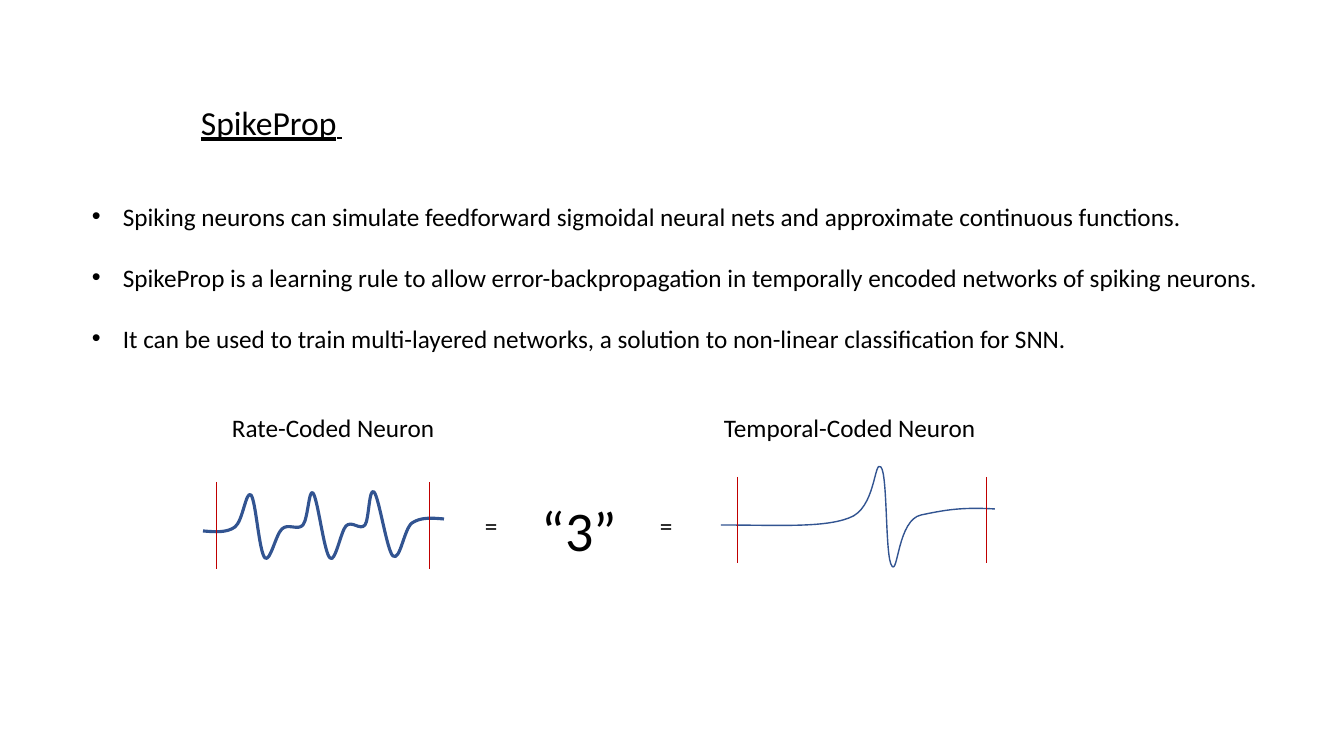
import pptx
import pptx.util
import pptx.dml.color
import pptx.enum.shapes
import pptx.enum.text
import pptx.oxml
import pptx.oxml.ns

# Content; lengths in pixels, text sizes in points
PX = 914400 / 100.8
FONT, BLACK, BLUE, RED = "Calibri", "000000", "325491", "C00000"

points = [
    "Spiking neurons can simulate feedforward sigmoidal neural nets and approximate continuous functions.",
    "SpikeProp is a learning rule to allow error-backpropagation in temporally encoded networks of spiking neurons. ",
    "It can be used to train multi-layered networks, a solution to non-linear classification for SNN. ",
]
points_box = (82, 196, 1204, 163)
points_indent, points_gap = 31, 22
heading = ("SpikeProp", (191, 97, 163, 50), 24)
# text, box, size, wraps
labels = [
    ("Rate-Coded Neuron", (222, 407, 225, 40), 18, False),
    ("Temporal-Coded Neuron", (714, 407, 275, 40), 18, False),
    ("\u201c3\u201d", (532, 491, 101, 78), 40, True),
    ("=", (650, 505, 33, 40), 18, False),
    ("=", (475, 505, 33, 40), 18, False),
]
# Each signal: start, then two control points and an end point per curve
signals = [
    {"width": 2.25, "window": (216, 429), "window_y": (482, 569), "curve": [
        (203, 531), (215, 532), (227, 533), (235, 527),
        (243, 521), (246, 490), (251, 495), (256, 501), (259, 552), (265, 558),
        (270, 563), (276, 534), (282, 529), (288, 523), (298, 531), (303, 525),
        (308, 519), (309, 488), (313, 493), (318, 499), (324, 553), (330, 558),
        (335, 564), (341, 531), (346, 526), (352, 520), (360, 531), (365, 525),
        (369, 520), (369, 487), (374, 492), (379, 497), (387, 551), (393, 556),
        (400, 562), (404, 529), (412, 523), (421, 517), (432, 518), (444, 519)]},
    {"width": 1, "window": (737, 986), "window_y": (477, 563), "curve": [
        (721, 525), (777, 525), (823, 528), (849, 518),
        (876, 509), (874, 459), (881, 467), (888, 475), (885, 558), (892, 566),
        (898, 575), (898, 520), (921, 515), (945, 510), (961, 507), (995, 509)]},
]


def emu(*lengths):
    return [round(length * PX) for length in lengths]


def color(hex_text):
    return pptx.dml.color.RGBColor.from_string(hex_text)


def style_run(run, size, underline=None):
    run.font.name, run.font.size = FONT, pptx.util.Pt(size)
    run.font.color.rgb = color(BLACK)
    run.font.underline = underline


def style_line(shape, hex_text, width):
    shape.line.color.rgb = color(hex_text)
    shape.line.width = pptx.util.Pt(width)


def add_text(lines, box, size, wrap, underline=None):
    frame = slide.shapes.add_textbox(*emu(*box)).text_frame
    frame.word_wrap = wrap
    frame.auto_size = pptx.enum.text.MSO_AUTO_SIZE.SHAPE_TO_FIT_TEXT
    frame.text = "\n".join(lines)
    for paragraph in frame.paragraphs:
        style_run(paragraph.runs[0], size, underline)
    return frame


def add_curve(nodes, width):
    builder = slide.shapes.build_freeform(*nodes[0], scale=PX)
    builder.add_line_segments(nodes[1:], close=False)
    curve = builder.convert_to_shape()
    curve.shadow.inherit = False
    curve.fill.background()
    style_line(curve, BLUE, width)
    # Join every three straight segments into one cubic curve
    outline = next(curve.element.iter(pptx.oxml.ns.qn("a:path")))
    segments = outline.findall(pptx.oxml.ns.qn("a:lnTo"))
    for first in range(0, len(segments), 3):
        cubic = outline.makeelement(pptx.oxml.ns.qn("a:cubicBezTo"), {})
        segments[first].addprevious(cubic)
        for segment in segments[first:first + 3]:
            cubic.append(segment[0])
            outline.remove(segment)


def add_window_edge(x, top, bottom):
    edge = slide.shapes.add_connector(
        pptx.enum.shapes.MSO_CONNECTOR.STRAIGHT, *emu(x, top, x, bottom))
    style_line(edge, RED, 0.5)
    properties = edge.element.spPr
    properties.append(properties.makeelement(pptx.oxml.ns.qn("a:effectLst"), {}))


presentation = pptx.Presentation()
presentation.slide_width, presentation.slide_height = emu(1344, 756)
slide = presentation.slides.add_slide(presentation.slide_layouts[6])

# Bulleted points
points_frame = add_text(points, points_box, 18, True)
for number, paragraph in enumerate(points_frame.paragraphs):
    paragraph.space_before = pptx.util.Pt(points_gap if number else 0)
    layout = paragraph._p.get_or_add_pPr()
    indent, = emu(points_indent)
    layout.set("marL", str(indent))
    layout.set("indent", str(-indent))
    for tag, settings in (("a:buFont", {"typeface": "Arial"}), ("a:buChar", {"char": "\u2022"})):
        layout.append(layout.makeelement(pptx.oxml.ns.qn(tag), settings))

# Heading, with its underline running on past the word
heading_text, heading_box, heading_size = heading
heading_frame = add_text([heading_text], heading_box, heading_size, False, True)
underline_tail = heading_frame.paragraphs[0].add_run()
underline_tail.text = " "
style_run(underline_tail, 18, True)

# Neuron signals with the edges of their time windows
for signal in signals:
    add_curve(signal["curve"], signal["width"])
    for edge_x in signal["window"]:
        add_window_edge(edge_x, *signal["window_y"])

# Labels and the equation between the signals
for label, box, size, wrap in labels:
    add_text([label], box, size, wrap)

presentation.save("out.pptx")
